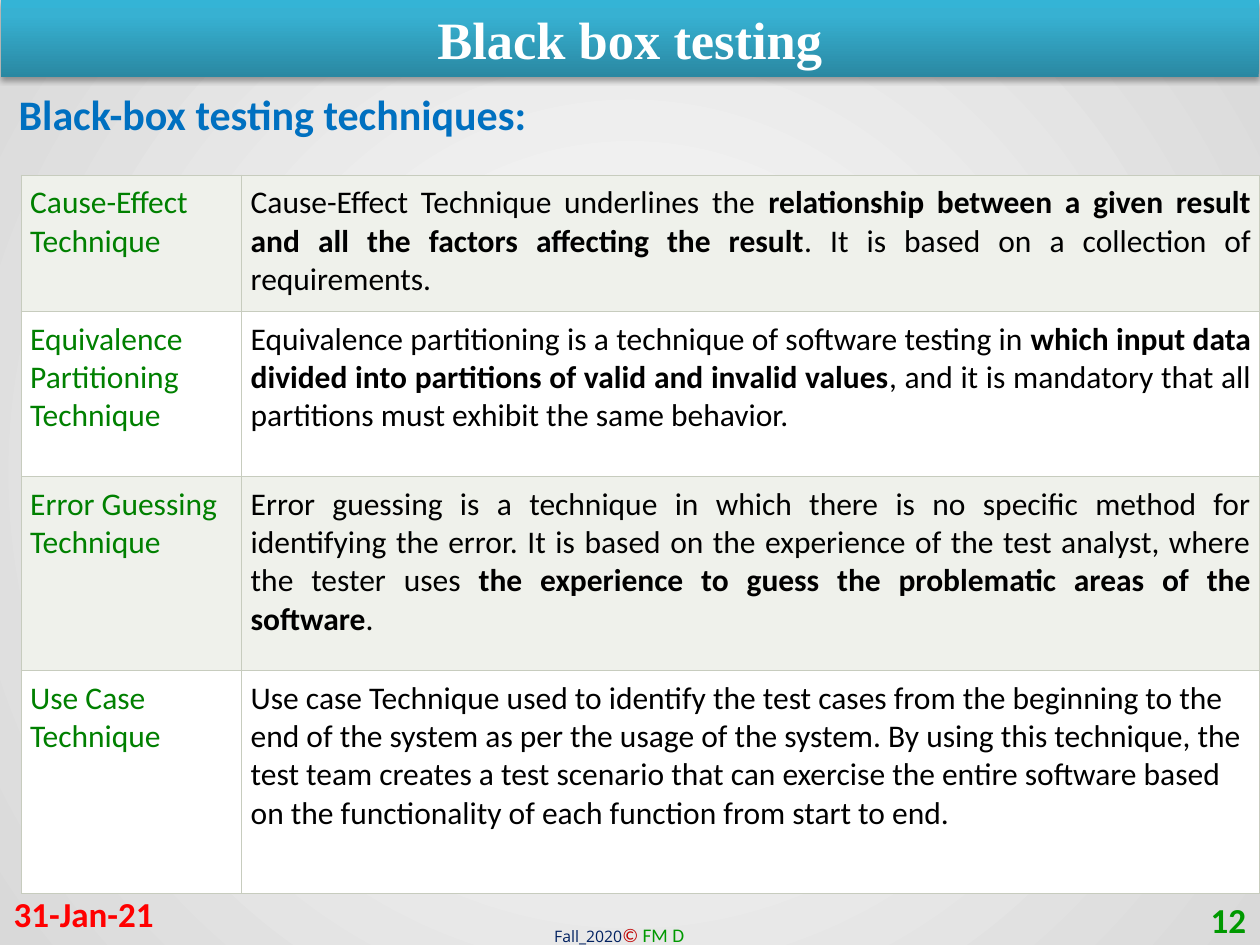
from dataclasses import dataclass
from lxml import etree
from pptx import Presentation, util as u
from pptx.dml.color import RGBColor
from pptx.enum import text
from pptx.oxml import parse_xml
from pptx.oxml.ns import nsdecls, qn


@dataclass(frozen=True)
class Theme:
    body: str = "Calibri"
    heading: str = "Times New Roman"
    small: str = "Open Sans"
    white: str = "FFFFFF"
    black: str = "000000"
    blue: str = "0070C0"
    navy: str = "002060"
    red: str = "FF0000"
    dark_red: str = "C00000"
    green: str = "009900"
    label: str = "008000"
    band: str = "EFF1EB"
    border: str = "C7CCBE"
    title_size: int = 30
    heading_size: int = 24
    footer_size: int = 20
    table_size: int = 18


T = Theme()
AL = text.PP_ALIGN
W, H = 10, 7.5

TITLE = "Black box testing"
HEADING = "Black-box testing techniques:"
DATE, NUMBER = "31-Jan-21", "12"
CREDIT = [("Fall_2020", 9, T.small, T.navy, False),
          ("© ", 11, T.body, T.dark_red, True),
          ("FM D", 11, T.body, T.green, False)]

# technique, row height, alignment, description as alternating plain and bold parts
TECHNIQUES = [
    ("Cause-Effect Technique", 1.08, AL.JUSTIFY, [
        "Cause-Effect Technique underlines the ",
        "relationship between a given result and all the factors affecting the result",
        ". It is based on a collection of requirements."]),
    ("Equivalence Partitioning Technique", 1.31, AL.JUSTIFY, [
        "Equivalence partitioning is a technique of software testing in ",
        "which input data divided into partitions of valid and invalid values",
        ", and it is mandatory that all partitions must exhibit the same behavior."]),
    ("Error Guessing Technique", 1.54, AL.JUSTIFY, [
        "Error guessing is a technique in which there is no specific method for "
        "identifying the error. It is based on the experience of the test analyst, "
        "where the tester uses ",
        "the experience to guess the problematic areas of the software",
        "."]),
    ("Use Case Technique", 1.77, AL.LEFT, [
        "Use case Technique used to identify the test cases from the beginning to the "
        "end of the system as per the usage of the system. By using this technique, the "
        "test team creates a test scenario that can exercise the entire software based "
        "on the functionality of each function from start to end."]),
]
COLUMNS = (1.75, 8.08)
TABLE_LEFT, TABLE_TOP = W - sum(COLUMNS), 1.39


def inches(*values):
    return [u.Inches(v) for v in values]


def add_run(p, words, size, color, font=T.body, bold=False, italic=False):
    r = p.add_run()
    r.text = words
    f = r.font
    f.size, f.name, f.bold, f.italic = u.Pt(size), font, bold, italic
    f.color.rgb = RGBColor.from_string(color)


def add_box(s, *place, anchor=text.MSO_ANCHOR.TOP, align=AL.LEFT):
    """Add a wrapping text box and return its first paragraph."""
    tf = s.shapes.add_textbox(*inches(*place)).text_frame
    tf.word_wrap, tf.vertical_anchor = True, anchor
    p = tf.paragraphs[0]
    p.alignment = align
    return p


def gradient(stops, direction):
    marks = "".join(f'<a:gs pos="{pos * 1000}"><a:srgbClr val="{color}"/></a:gs>'
                    for pos, color in stops)
    return parse_xml(f'<a:gradFill {nsdecls("a")} rotWithShape="1">'
                     f'<a:gsLst>{marks}</a:gsLst>{direction}</a:gradFill>')


def set_background(s):
    s.background.fill.solid()
    bg = s._element.find(".//" + qn("p:bgPr"))
    centre = ('<a:path path="circle"><a:fillToRect l="50000" t="50000" '
              'r="50000" b="50000"/></a:path>')
    bg.replace(bg[0], gradient([(0, T.white), (100, "D9D9D9")], centre))


def set_title(s):
    sp = s.shapes.title
    sp.left, sp.top, sp.width, sp.height = inches(0.01, 0, W - 0.02, 0.61)
    sp._element.spPr.append(gradient([(0, "2A88A2"), (80, "37B1D2"), (100, "34B4D6")],
                                     '<a:lin ang="16200000" scaled="0"/>'))
    sp._element.spPr.append(parse_xml(
        f'<a:effectLst {nsdecls("a")}><a:outerShdw blurRad="{u.Pt(3.1)}" '
        f'dist="{u.Pt(1.8)}" dir="5400000" rotWithShape="0"><a:srgbClr val="{T.black}">'
        '<a:alpha val="35000"/></a:srgbClr></a:outerShdw></a:effectLst>'))
    tf = sp.text_frame
    tf.auto_size = text.MSO_AUTO_SIZE.NONE
    tf.vertical_anchor = text.MSO_ANCHOR.MIDDLE
    p = tf.paragraphs[0]
    p.alignment = AL.CENTER
    add_run(p, TITLE, T.title_size, T.white, T.heading, bold=True)


def format_cell(cell, fill):
    cell.margin_left = cell.margin_right = u.Inches(0.07)
    cell.margin_top = cell.margin_bottom = u.Inches(0.07)
    tc_pr = cell._tc.get_or_add_tcPr()
    for side in ("lnL", "lnR", "lnT", "lnB"):
        ln = etree.SubElement(tc_pr, qn(f"a:{side}"), w=str(u.Pt(0.75)))
        solid = etree.SubElement(ln, qn("a:solidFill"))
        etree.SubElement(solid, qn("a:srgbClr"), val=T.border)
    cell.fill.solid()
    cell.fill.fore_color.rgb = RGBColor.from_string(fill)


def add_techniques(s):
    height = sum(t[1] for t in TECHNIQUES)
    table = s.shapes.add_table(len(TECHNIQUES), len(COLUMNS), *inches(
        TABLE_LEFT, TABLE_TOP, sum(COLUMNS), height)).table
    table.first_row = table.horz_banding = False
    for column, width in zip(table.columns, COLUMNS):
        column.width = u.Inches(width)
    for i, (name, row_height, align, parts) in enumerate(TECHNIQUES):
        table.rows[i].height = u.Inches(row_height)
        for cell in table.rows[i].cells:
            format_cell(cell, T.white if i % 2 else T.band)
        label, description = (c.text_frame.paragraphs[0] for c in table.rows[i].cells)
        add_run(label, name, T.table_size, T.label)
        description.alignment = align
        for j, part in enumerate(parts):
            add_run(description, part, T.table_size, T.black, bold=j % 2 == 1)


def main():
    prs = Presentation()
    prs.slide_width, prs.slide_height = inches(W, H)
    s = prs.slides.add_slide(prs.slide_layouts[5])
    set_background(s)
    set_title(s)
    p = add_box(s, 4.3, 7.28, 1.41, 0.29)
    for words, size, font, color, italic in CREDIT:
        add_run(p, words, size, color, font, italic=italic)
    middle = text.MSO_ANCHOR.MIDDLE
    add_run(add_box(s, 0.01, 7.05, 2.33, 0.4, anchor=middle),
            DATE, T.footer_size, T.red, bold=True)
    add_run(add_box(s, 7.66, 7.1, 2.33, 0.4, anchor=middle, align=AL.RIGHT),
            NUMBER, T.footer_size, T.green, bold=True)
    add_run(add_box(s, 0.05, 0.65, 9.39, 0.5), HEADING, T.heading_size, T.blue, bold=True)
    add_techniques(s)
    prs.save("out.pptx")


if __name__ == "__main__":
    main()
